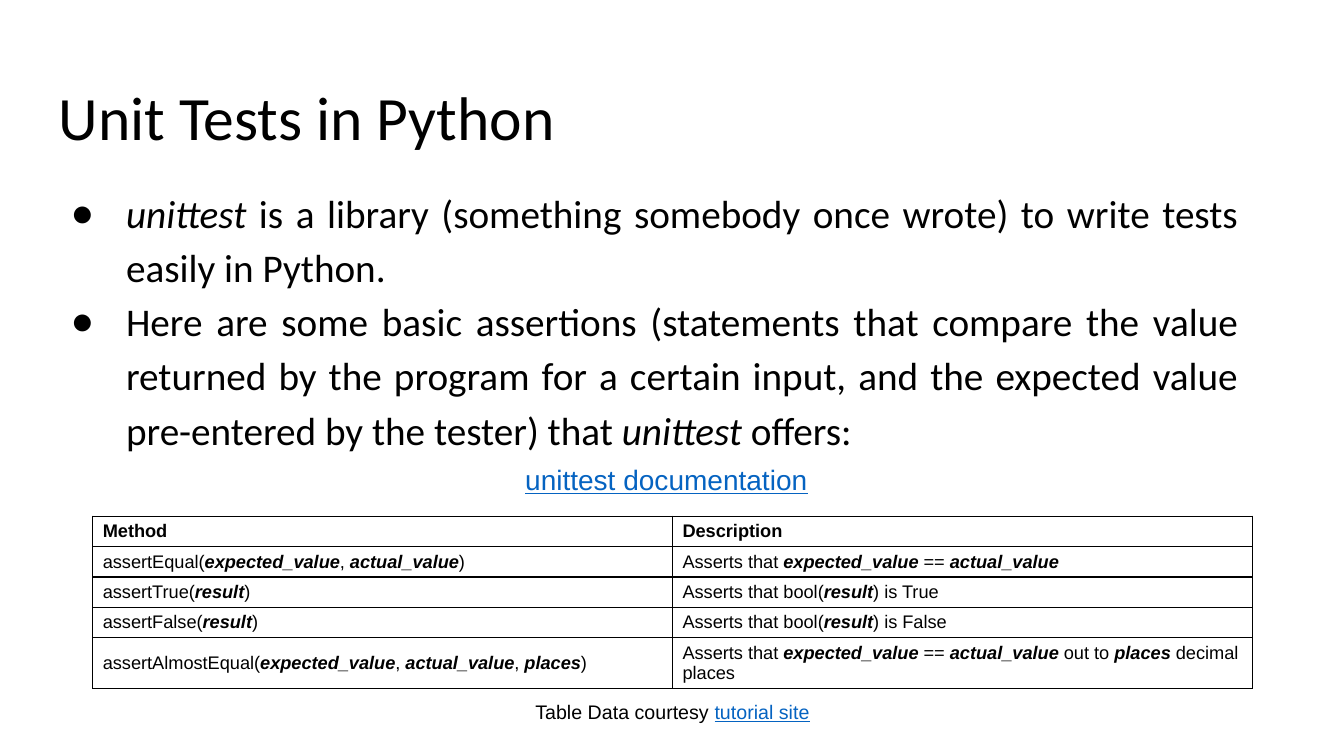
from dataclasses import dataclass

from lxml.etree import SubElement
from pptx import Presentation
from pptx.dml.color import RGBColor
from pptx.enum.text import MSO_ANCHOR, MSO_AUTO_SIZE, PP_ALIGN
from pptx.oxml.ns import qn
from pptx.util import Inches, Pt


@dataclass(frozen=True)
class Theme:
    ink: RGBColor = RGBColor(0x00, 0x00, 0x00)
    link: RGBColor = RGBColor(0x05, 0x63, 0xC1)
    heading_font: str = "Calibri"
    detail_font: str = "Arial"
    title_size: Pt = Pt(44)
    body_size: Pt = Pt(28)
    link_size: Pt = Pt(20)
    credit_size: Pt = Pt(14)
    table_size: Pt = Pt(13)
    border: Pt = Pt(1)


THEME = Theme()
SLIDE_WIDTH, SLIDE_HEIGHT = Inches(13.33), Inches(7.5)
PLACEHOLDER_INSET = Inches(0.13)
LINK_STYLE = {"underline": True, "color": THEME.link}

ASSERTIONS = [
    ("Method", "Description"),
    ("assertEqual(*expected_value*, *actual_value*)",
     "Asserts that *expected_value *== *actual_value*"),
    ("assertTrue(*result*)", "Asserts that bool(*result*) is True"),
    ("assertFalse(*result*)", "Asserts that bool(*result*) is False"),
    ("assertAlmostEqual(*expected_value*, *actual_value*, *places*)",
     "Asserts that *expected_value *== *actual_value *out to *places *decimal places"),
]


def across(percent):
    return round(SLIDE_WIDTH * percent / 100)


def down(percent):
    return round(SLIDE_HEIGHT * percent / 100)


def area(left, top, width, height):
    return across(left), down(top), across(width), down(height)


def set_attributes(target, values):
    for name, value in values.items():
        setattr(target, name, value)


def place(shape, left, top, width, height):
    set_attributes(shape, dict(left=left, top=top, width=width, height=height))


def write(paragraph, text, font, size, emphasis=None, **base):
    for index, part in enumerate(text.split("*")):
        if part:
            run = paragraph.add_run()
            run.text = part
            style = {"name": font, "size": size, "color": THEME.ink, **base}
            if index % 2:
                style.update(emphasis)
            run.font.color.rgb = style.pop("color")
            set_attributes(run.font, style)


def format_placeholder(shape, box):
    place(shape, *box)
    sides = ("margin_left", "margin_top", "margin_right", "margin_bottom")
    set_attributes(shape.text_frame, {
        **dict.fromkeys(sides, PLACEHOLDER_INSET),
        "vertical_anchor": MSO_ANCHOR.TOP,
        "auto_size": MSO_AUTO_SIZE.NONE,
        "word_wrap": True,
    })


def add_bullet(paragraph):
    properties = paragraph._p.get_or_add_pPr()
    properties.set("marL", str(Inches(0.67)))
    properties.set("indent", str(Inches(-0.55)))
    color = SubElement(properties, qn("a:buClr"))
    SubElement(color, qn("a:srgbClr"), val=str(THEME.ink))
    SubElement(properties, qn("a:buChar"), char="●")


def fill_title(shape, text):
    format_placeholder(shape, area(3.38, 8.67, 93.17, 11.07))
    paragraph = shape.text_frame.paragraphs[0]
    paragraph.alignment = PP_ALIGN.LEFT
    write(paragraph, text, THEME.heading_font, THEME.title_size)


def fill_body(shape, items):
    format_placeholder(shape, area(3.38, 22.4, 89.72, 39.07))
    frame = shape.text_frame
    for index, item in enumerate(items):
        paragraph = frame.add_paragraph() if index else frame.paragraphs[0]
        set_attributes(paragraph, dict(
            alignment=PP_ALIGN.JUSTIFY, line_spacing=1.15,
            space_before=Pt(0), space_after=Pt(0)))
        add_bullet(paragraph)
        write(paragraph, item, THEME.heading_font, THEME.body_size, {"italic": True})


def add_caption(slide, text, box, size):
    frame = slide.shapes.add_textbox(*box).text_frame
    frame.word_wrap = True
    paragraph = frame.paragraphs[0]
    paragraph.alignment = PP_ALIGN.CENTER
    write(paragraph, text, THEME.detail_font, size, LINK_STYLE)


def add_borders(cell):
    properties = cell._tc.get_or_add_tcPr()
    for side in ("lnL", "lnR", "lnT", "lnB"):
        line = SubElement(properties, qn(f"a:{side}"), w=str(THEME.border))
        fill = SubElement(line, qn("a:solidFill"))
        SubElement(fill, qn("a:srgbClr"), val=str(THEME.ink))


def add_assertion_table(slide, rows, box):
    table = slide.shapes.add_table(len(rows), len(rows[0]), *box).table
    set_attributes(table, dict(first_row=False, horz_banding=False))
    for row in table.rows:
        row.height = down(2.5)
    for row_index, texts in enumerate(rows):
        for column_index, text in enumerate(texts):
            cell = table.cell(row_index, column_index)
            add_borders(cell)
            cell.fill.background()
            cell.vertical_anchor = MSO_ANCHOR.MIDDLE
            write(cell.text_frame.paragraphs[0], text, THEME.detail_font,
                  THEME.table_size, {"bold": True, "italic": True},
                  bold=row_index == 0)


def main():
    presentation = Presentation()
    set_attributes(presentation, dict(slide_width=SLIDE_WIDTH, slide_height=SLIDE_HEIGHT))
    slide = presentation.slides.add_slide(presentation.slide_layouts[1])
    fill_title(slide.shapes.title, "Unit Tests in Python")
    fill_body(slide.placeholders[1], [
        "*unittest* is a library (something somebody once wrote) to write tests "
        "easily in Python.",
        "Here are some basic assertions (statements that compare the value returned "
        "by the program for a certain input, and the expected value pre-entered by "
        "the tester) that *unittest* offers:",
    ])
    add_assertion_table(slide, ASSERTIONS, area(6.9, 68.27, 86.27, 12.5))
    add_caption(slide, "Table Data courtesy *tutorial site*",
                area(37.28, 91.87, 25.51, 4.53), THEME.credit_size)
    add_caption(slide, "*unittest documentation*",
                area(32.78, 60.53, 33.61, 5.87), THEME.link_size)
    presentation.save("out.pptx")


if __name__ == "__main__":
    main()
